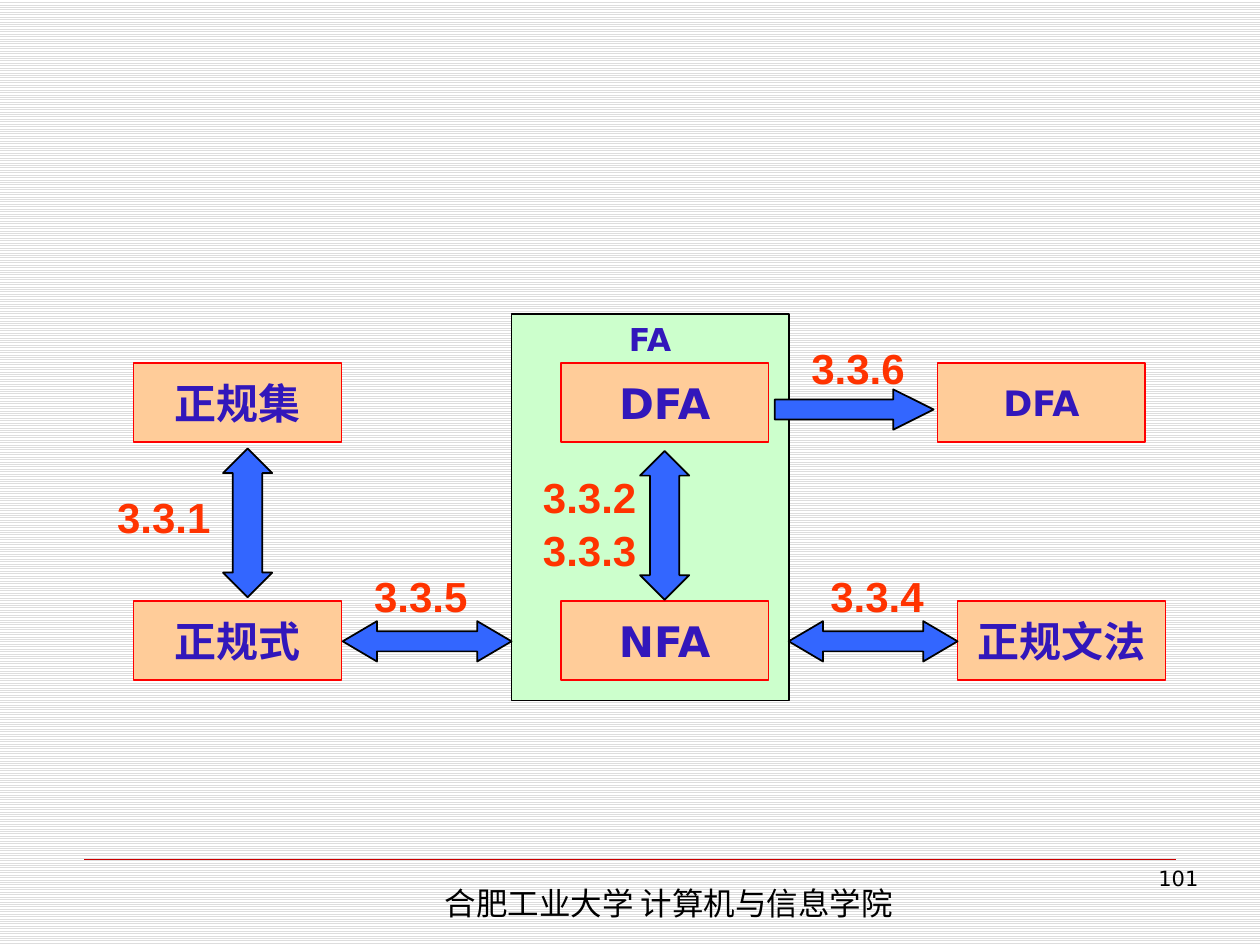
from pptx import Presentation
from pptx.dml.color import RGBColor
from pptx.enum import dml, shapes, text
from pptx.oxml.xmlchemy import OxmlElement
from pptx.util import Inches, Pt

COLORS = {
    "paper": "FFFFFF", "stripe": "DDDDDD", "rule": "CC0000", "black": "000000",
    "group": "CCFFCC", "box": "FFCC99", "box_line": "FF0000",
    "box_text": "3217BB", "arrow": "3366FF", "section": "FF3300",
}
UI_FONT = "DejaVu Sans"
CJK_FONT = "Noto Sans CJK SC"
BOX_WIDTH, BOX_HEIGHT = 1.65, 0.63
TOP_ROW, BOTTOM_ROW = 2.88, 4.77


def color(name):
    return RGBColor.from_string(COLORS[name])


def write(shape, content, size=24, font=UI_FONT, ink="box_text", bold=True,
          align=text.PP_ALIGN.CENTER, anchor=text.MSO_ANCHOR.TOP,
          wrap=False, spacing=None):
    frame = shape.text_frame
    frame.text = content
    frame.word_wrap = wrap
    frame.vertical_anchor = anchor
    for paragraph in frame.paragraphs:
        paragraph.alignment = align
        paragraph.line_spacing = spacing
        for run in paragraph.runs:
            run.font.size = Pt(size)
            run.font.bold = bold
            run.font.color.rgb = color(ink)
            run.font.name = font
            east_asian = OxmlElement("a:ea")
            east_asian.set("typeface", CJK_FONT)
            run.font._element.append(east_asian)


def add_shape(slide, kind, left, top, width, height, fill, line):
    shape = slide.shapes.add_shape(
        kind, Inches(left), Inches(top), Inches(width), Inches(height))
    shape.shadow.inherit = False
    shape.fill.solid()
    shape.fill.fore_color.rgb = color(fill)
    shape.line.color.rgb = color(line)
    shape.line.width = Pt(1)
    return shape


def add_box(slide, content, left, top, size=24):
    box = add_shape(slide, shapes.MSO_SHAPE.RECTANGLE, left, top,
                    BOX_WIDTH, BOX_HEIGHT, "box", "box_line")
    write(box, content, size=size, anchor=text.MSO_ANCHOR.MIDDLE)


def add_arrow(slide, kind, left, top, width, height, head):
    arrow = add_shape(slide, kind, left, top, width, height, "arrow", "black")
    arrow.adjustments[0] = 0.5
    arrow.adjustments[1] = head


def add_text(slide, content, left, top, width, height, **style):
    box = slide.shapes.add_textbox(
        Inches(left), Inches(top), Inches(width), Inches(height))
    write(box, content, **style)


def add_footer(slide):
    rule = slide.shapes.add_connector(
        shapes.MSO_CONNECTOR.STRAIGHT,
        Inches(0.67), Inches(6.82), Inches(9.33), Inches(6.82))
    rule.line.color.rgb = color("rule")
    rule.line.width = Pt(0.25)
    rule._element.spPr.append(OxmlElement("a:effectLst"))
    add_text(slide, "合肥工业大学 计算机与信息学院", 3.43, 6.97, 4.72, 0.4,
             size=18, font=CJK_FONT, ink="black", bold=False,
             align=text.PP_ALIGN.LEFT, wrap=True)
    add_text(slide, "101", 7.44, 6.82, 2.17, 0.52, size=12, ink="black",
             bold=False, align=text.PP_ALIGN.RIGHT, wrap=True)


def main():
    presentation = Presentation()
    presentation.slide_width = Inches(10)
    presentation.slide_height = Inches(7.5)
    slide = presentation.slides.add_slide(presentation.slide_layouts[6])
    background = slide.background.fill
    background.patterned()
    background.pattern = dml.MSO_PATTERN.LIGHT_HORIZONTAL
    background.fore_color.rgb = color("stripe")
    background.back_color.rgb = color("paper")
    add_footer(slide)

    automata = add_shape(slide, shapes.MSO_SHAPE.RECTANGLE,
                         4.06, 2.49, 2.2, 3.07, "group", "black")
    write(automata, "FA", size=18)

    for content, left, top, size in (
            ("正规集", 1.06, TOP_ROW, 24), ("正规式", 1.06, BOTTOM_ROW, 24),
            ("DFA", 4.45, TOP_ROW, 24), ("NFA", 4.45, BOTTOM_ROW, 24),
            ("正规文法", 7.6, BOTTOM_ROW, 24), ("DFA", 7.44, TOP_ROW, 20)):
        add_box(slide, content, left, top, size)

    for left in (2.72, 6.26):
        add_arrow(slide, shapes.MSO_SHAPE.LEFT_RIGHT_ARROW,
                  left, 4.93, 1.34, 0.32, 0.85)
    for left, top in ((1.77, 3.56), (5.08, 3.58)):
        add_arrow(slide, shapes.MSO_SHAPE.UP_DOWN_ARROW,
                  left, top, 0.39, 1.18, 0.6)
    add_arrow(slide, shapes.MSO_SHAPE.RIGHT_ARROW, 6.15, 3.09, 1.26, 0.32, 1)

    for content, left, top, height in (
            ("3.3.1", 0.83, 3.83, 0.5), ("3.3.2\n3.3.3", 4.21, 3.67, 0.91),
            ("3.3.4", 6.49, 4.46, 0.5), ("3.3.5", 2.87, 4.46, 0.5),
            ("3.3.6", 6.34, 2.65, 0.5)):
        add_text(slide, content, left, top, 0.94, height,
                 font="Arial", ink="section", spacing=1.05)

    presentation.save("out.pptx")


if __name__ == "__main__":
    main()
